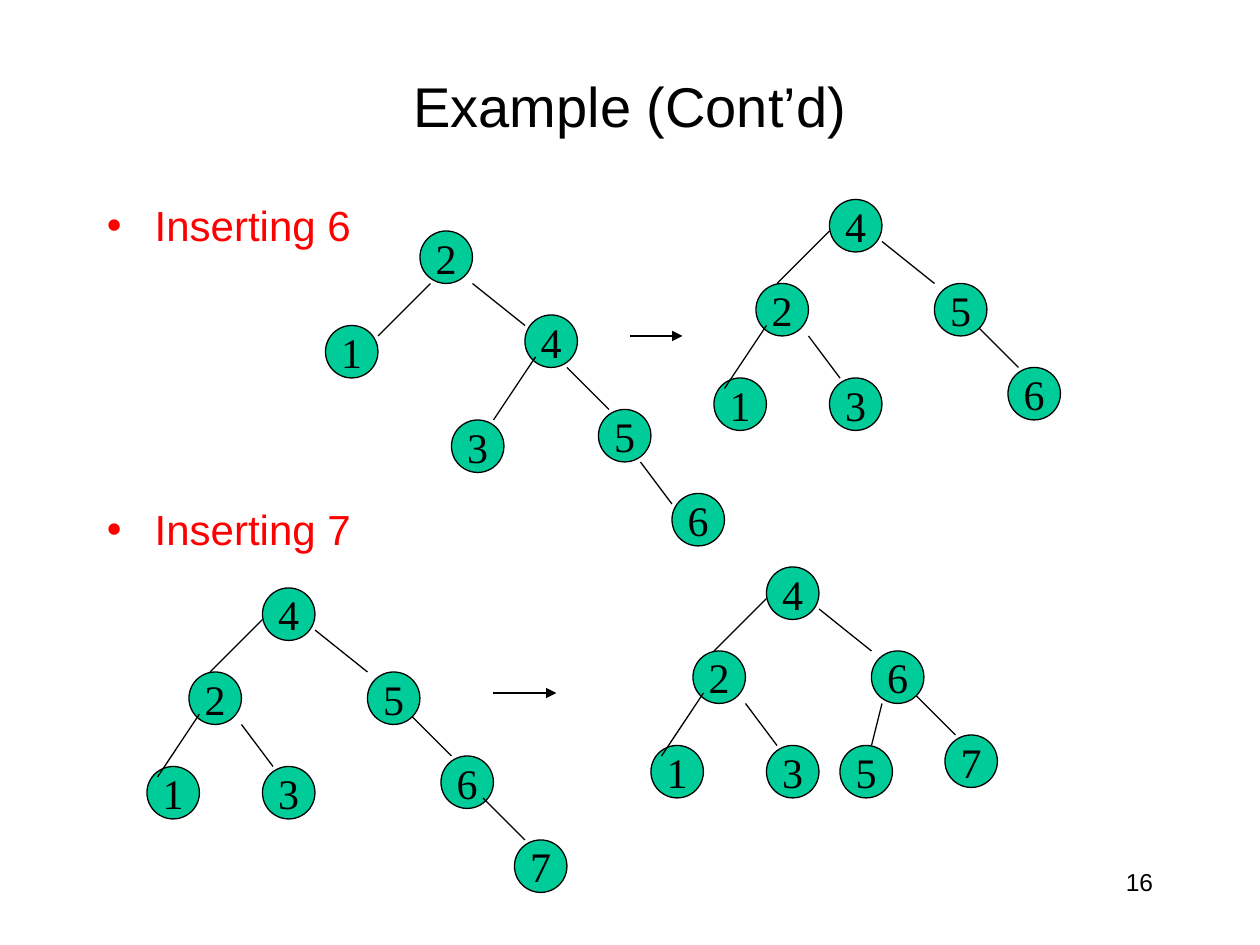
from pptx import Presentation
from pptx import util as u
from pptx.dml.color import RGBColor
from pptx.enum import shapes, text
from pptx.oxml import ns
from lxml import etree

HUES = {"ink": "000000", "node": "00CC99", "point": "FF0000"}
SANS, SERIF = "Arial", "Times New Roman"
COLS, ROWS = 120, 90
SIZE = 5


class Board:
    def __init__(self, deck):
        self.slide = deck.slides.add_slide(deck.slide_layouts[5])
        self.wide = deck.slide_width / COLS
        self.high = deck.slide_height / ROWS

    def grid(self, *cells):
        units = (self.wide, self.high) * 2
        return [round(c * n) for c, n in zip(cells, units)]

    def hue(self, name):
        return RGBColor.from_string(HUES[name])

    def stroke(self, line):
        line.color.rgb = self.hue("ink")
        line.width = u.Pt(0.75)

    def sub(self, parent, tag, **attrs):
        return etree.SubElement(parent, ns.qn(tag), attrs)

    def words(self, shape, says, size, font, hue="ink", align="CENTER"):
        para = shape.text_frame.paragraphs[0]
        para.alignment = text.PP_ALIGN[align]
        run = para.add_run()
        run.text = says
        run.font.size = u.Pt(size)
        run.font.name = font
        run.font.color.rgb = self.hue(hue)
        return para

    def title(self, says, *box):
        shape = self.slide.shapes.title
        shape.left, shape.top, shape.width, shape.height = self.grid(*box)
        shape.text_frame.vertical_anchor = text.MSO_ANCHOR.MIDDLE
        self.words(shape, says, 32, SANS)

    def label(self, says, box, size, hue="ink", align="LEFT"):
        shape = self.slide.shapes.add_textbox(*self.grid(*box))
        shape.text_frame.word_wrap = True
        return shape, self.words(shape, says, size, SANS, hue, align)

    def point(self, says, *box):
        shape, para = self.label(says, box, 24, "point")
        shape.text_frame.margin_top = 0
        props = para._p.get_or_add_pPr()
        props.set("marL", str(u.Inches(0.38)))
        props.set("indent", str(u.Inches(-0.38)))
        self.sub(self.sub(props, "a:buClr"), "a:srgbClr", val=HUES["point"])
        self.sub(props, "a:buFont", typeface=SANS)
        self.sub(props, "a:buChar", char="•")

    def node(self, key, col, row):
        shape = self.slide.shapes.add_shape(
            shapes.MSO_SHAPE.OVAL, *self.grid(col, row, SIZE, SIZE))
        shape.shadow.inherit = False
        shape.fill.solid()
        shape.fill.fore_color.rgb = self.hue("node")
        self.stroke(shape.line)
        frame = shape.text_frame
        frame.word_wrap = False
        frame.vertical_anchor = text.MSO_ANCHOR.MIDDLE
        self.words(shape, key, 24, SERIF)

    def edge(self, *ends, arrow=False):
        link = self.slide.shapes.add_connector(
            shapes.MSO_CONNECTOR.STRAIGHT, *self.grid(*ends))
        self.stroke(link.line)
        props = link._element.spPr
        if arrow:
            self.sub(props.find(ns.qn("a:ln")), "a:tailEnd", type="triangle")
        self.sub(props, "a:effectLst")

    def edges(self, col, row, links):
        for a, b, c, d in links:
            self.edge(col + a, row + b, col + c, row + d)

    def tree(self, col, row, keys, spots, over, under=()):
        self.edges(col, row, under)
        for key, (x, y) in zip(keys, spots):
            self.node(key, col + x, row + y)
        self.edges(col, row, over)


LEAN = [(0, 0), (-9, 9), (10, 8), (3, 18), (17, 17), (24, 25)]
LEAN_EDGES = [(1, 5, -4, 10), (5, 5, 10, 9), (14, 13, 18, 17),
              (11, 12, 7, 18), (21, 22, 24, 26)]
EVEN = [(0, 0), (-7, 8), (-11, 17), (0, 17), (10, 8), (17, 16)]
EVEN_EDGES = [(0, 3, -5, 8), (5, 4, 10, 8), (-6, 12, -10, 18), (-2, 13, 1, 17)]
UNDER = [(14, 12, 18, 16)]


def main():
    deck = Presentation()
    deck.slide_width, deck.slide_height = u.Inches(10), u.Inches(7.5)
    board = Board(deck)
    board.title("Example (Cont’d)", 9, 5, 102, 10)
    board.point("Inserting 6", 9, 19, 30, 6)
    board.point("Inserting 7", 9, 48, 30, 6)
    board.label("16", (86, 82, 25, 6), 14, align="RIGHT")

    board.tree(40, 22, "214356", LEAN, LEAN_EDGES)
    board.edge(60, 32, 65, 32, arrow=True)
    board.tree(79, 19, "421356", EVEN, EVEN_EDGES, UNDER)

    board.tree(25, 56, "4213567", EVEN + [(24, 24)],
               EVEN_EDGES + [(21, 20, 25, 24)], UNDER)
    board.edge(47, 66, 53, 66, arrow=True)
    board.tree(73, 54, "4213675", EVEN + [(7, 17)],
               EVEN_EDGES + [(11, 13, 10, 17)], UNDER)
    deck.save("out.pptx")


if __name__ == "__main__":
    main()
